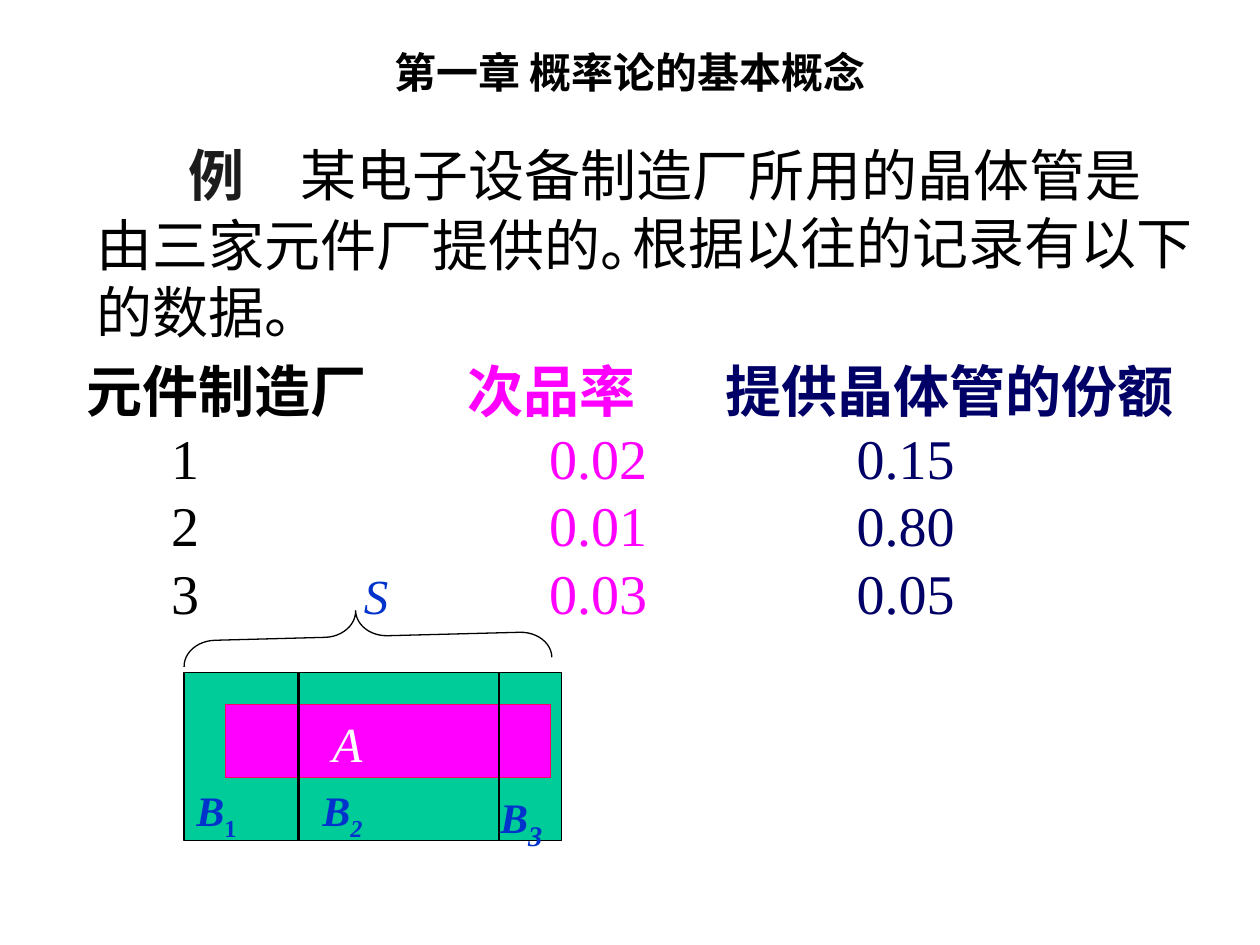
from lxml.etree import SubElement
from pptx import Presentation
from pptx.dml.color import RGBColor
from pptx.enum.shapes import MSO_CONNECTOR, MSO_SHAPE
from pptx.enum.text import MSO_ANCHOR, MSO_AUTO_SIZE, PP_ALIGN
from pptx.oxml.ns import qn
from pptx.util import Inches, Pt

COLORS = {
    "black": "000000", "white": "FFFFFF", "charcoal": "1C1C1C",
    "magenta": "FF00FF", "navy": "000066", "blue": "0033CC",
    "green": "00CC99", "rose": "FF0066",
}
SERIF = "Times New Roman"
HAN = "Noto Sans CJK SC"

SUPPLIER_ROWS = [
    ("元件制造厂", "次品率", "提供晶体管的份额"),
    ("1", "0.02", "0.15"),
    ("2", "0.01", "0.80"),
    ("3", "0.03", "0.05"),
]
COLUMN_COLORS = ("black", "magenta", "navy")
HEADER_TABS = (3.02, 5.07)
VALUE_TABS = (0.67, 3.67, 6.11)


def rgb(name):
    return RGBColor.from_string(COLORS[name])


def add_text_frame(shapes, left, top, width, height, wrap=True):
    box = shapes.add_textbox(Inches(left), Inches(top), Inches(width), Inches(height))
    frame = box.text_frame
    frame.word_wrap = wrap
    frame.auto_size = MSO_AUTO_SIZE.SHAPE_TO_FIT_TEXT
    return frame


def style(paragraph, size, color="black", face=SERIF, bold=False, italic=False):
    font = paragraph.font
    font.size, font.name = Pt(size), face
    font.bold, font.italic = bold, italic
    font.color.rgb = rgb(color)
    defaults = paragraph._p.get_or_add_pPr().get_or_add_defRPr()
    SubElement(defaults, qn("a:ea"), typeface=HAN)


def add_run(paragraph, text, color=None, bold=None):
    run = paragraph.add_run()
    run.text = text
    run.font.bold = bold
    if color:
        run.font.color.rgb = rgb(color)
    return run


def add_tabs(paragraph, stops):
    tabs = SubElement(paragraph._p.get_or_add_pPr(), qn("a:tabLst"))
    for stop in stops:
        SubElement(tabs, qn("a:tab"), pos=str(Inches(stop)), algn="l")


def add_title(slide, left, top, width, height):
    frame = add_text_frame(slide.shapes, left, top, width, height)
    frame.auto_size = MSO_AUTO_SIZE.NONE
    frame.vertical_anchor = MSO_ANCHOR.MIDDLE
    title = frame.paragraphs[0]
    title.alignment = PP_ALIGN.CENTER
    style(title, 24, face=HAN, bold=True)
    title.add_run().text = "第一章 概率论的基本概念"


def add_example(slide, left, top, width):
    opening = add_text_frame(slide.shapes, left, top, width, 0.64).paragraphs[0]
    opening._p.get_or_add_pPr().set("indent", str(Inches(0.89)))
    style(opening, 32)
    add_run(opening, "例", "charcoal", bold=True)
    add_run(opening, "　某电子设备制造厂所用的晶体管是")

    for text, dx, dy, text_width in (
        ("由三家元件厂提供的。", 0.16, 0.55, 4.65),
        ("根据以往的记录有以下", 4.41, 0.54, 4.65),
        ("的数据。", 0.16, 1.08, 1.98),
    ):
        frame = add_text_frame(slide.shapes, left + dx, top + dy, text_width, 0.64, wrap=False)
        line = frame.paragraphs[0]
        style(line, 32)
        line.add_run().text = text


def add_supplier_data(slide, left, top, width, height):
    frame = add_text_frame(slide.shapes, left, top, width, height)
    for index, row in enumerate(SUPPLIER_ROWS):
        is_header = index == 0
        line = frame.paragraphs[0] if is_header else frame.add_paragraph()
        add_tabs(line, HEADER_TABS if is_header else VALUE_TABS)
        style(line, 32, bold=is_header)
        for column, (cell, color) in enumerate(zip(row, COLUMN_COLORS)):
            starts_at_margin = is_header and column == 0
            add_run(line, cell if starts_at_margin else "\t" + cell, color)


def add_region(shapes, left, top, width, height, fill, outline):
    region = shapes.add_shape(MSO_SHAPE.RECTANGLE, Inches(left), Inches(top),
                              Inches(width), Inches(height))
    region.shadow.inherit = False
    region.fill.solid()
    region.fill.fore_color.rgb = rgb(fill)
    region.line.color.rgb = rgb(outline)
    region.line.width = Pt(0.75)


def add_brace(shapes, left, top, width, height):
    brace = shapes.add_shape(MSO_SHAPE.LEFT_BRACE, Inches(left), Inches(top),
                             Inches(width), Inches(height))
    brace.rotation = 88.5
    brace.adjustments[0], brace.adjustments[1] = 0.61, 0.53
    brace.shadow.inherit = False
    brace.fill.background()
    brace.line.color.rgb = rgb("black")
    brace.line.width = Pt(0.75)


def add_divider(shapes, x, top, height):
    divider = shapes.add_connector(MSO_CONNECTOR.STRAIGHT, Inches(x), Inches(top),
                                   Inches(x), Inches(top + height))
    divider.line.color.rgb = rgb("black")
    divider.line.width = Pt(1.5)
    SubElement(divider._element.spPr, qn("a:effectLst"))


def add_label(shapes, left, top, width, height, text, size, color, bold=False):
    label = add_text_frame(shapes, left, top, width, height).paragraphs[0]
    style(label, size, color, bold=bold, italic=True)
    label.add_run().text = text
    return label


def add_partition_diagram(slide, left, top, width, height):
    """Sample space S split into B1, B2, B3, with event A across them."""
    shapes = slide.shapes.add_group_shape().shapes
    add_region(shapes, left, top, width, height, "green", "black")
    add_brace(shapes, left + 1.25, top - 1.75, 0.41, 2.92)
    add_label(shapes, left + 1.33, top - 0.9, 0.67, 0.57, "S", 28, "blue")

    for index, dx, label_width, size, italic in (
        ("1", 0, 0.67, 24, False),
        ("2", 1, 0.67, 24, True),
        ("3", 2.41, 0.75, 28, True),
    ):
        label = add_label(shapes, left + dx, top + 0.84, label_width, 0.56,
                          "B", 24, "blue", bold=True)
        subscript = add_run(label, index)
        subscript.font.size = Pt(size)
        subscript.font.italic = italic
        subscript._r.get_or_add_rPr().set("baseline", "-25000")

    add_region(shapes, left + 0.33, top + 0.25, 2.58, 0.58, "magenta", "rose")
    add_label(shapes, left + 1.08, top + 0.27, 1.08, 0.57, "A", 28, "white")
    for dx in (0.91, 2.5):
        add_divider(shapes, left + dx, top, height)


def main():
    deck = Presentation()
    deck.slide_width, deck.slide_height = Inches(10), Inches(7.5)
    slide = deck.slides.add_slide(deck.slide_layouts[6])
    add_partition_diagram(slide, 1.46, 5.34, 3, 1.33)
    add_title(slide, 0.75, 0.44, 8.5, 0.25)
    add_example(slide, 0.51, 1.07, 9.33)
    add_supplier_data(slide, 0.59, 2.78, 9.21, 2.24)
    deck.save("out.pptx")


if __name__ == "__main__":
    main()
